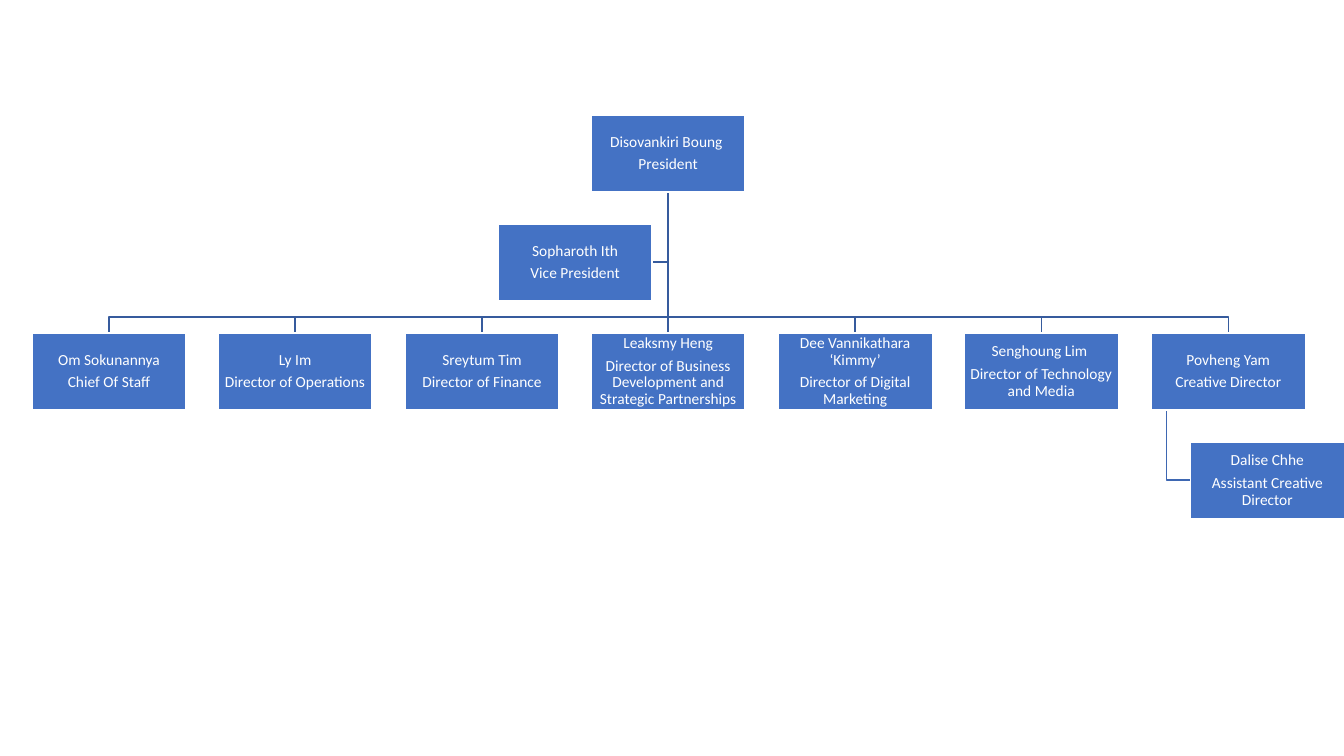
from dataclasses import dataclass

from lxml.etree import SubElement
from pptx import Presentation
from pptx.dml.color import RGBColor
from pptx.enum.shapes import MSO_CONNECTOR, MSO_SHAPE
from pptx.enum.text import MSO_ANCHOR, PP_ALIGN
from pptx.oxml.ns import qn
from pptx.util import Inches, Pt

PX = 914400 / 100.8
BOX_W, BOX_H = 154, 77
LEFT, TOP = 32, 115
ROW_STEP = 109
BLUE, WHITE = "4472C4", "FFFFFF"
TEAM_LINE, ASSISTANT_LINE = "365B9D", "3E67B2"


def px(n: float) -> int:
    return round(n * PX)


def color(value: str) -> RGBColor:
    return RGBColor.from_string(value)


def column(i: int) -> int:
    return LEFT + i * 373 // 2


@dataclass
class Person:
    name: str
    role: str
    x: int
    row: int

    @property
    def y(self) -> int:
        return TOP + self.row * ROW_STEP

    @property
    def cx(self) -> int:
        return self.x + BOX_W // 2

    @property
    def cy(self) -> int:
        return self.y + BOX_H // 2

    @property
    def bottom(self) -> int:
        return self.y + BOX_H


def add_box(s, person: Person) -> None:
    sp = s.shapes.add_shape(MSO_SHAPE.RECTANGLE, px(person.x), px(person.y),
                            px(BOX_W), px(BOX_H))
    sp.shadow.inherit = False
    sp.fill.solid()
    sp.fill.fore_color.rgb = color(BLUE)
    sp.line.color.rgb = color(WHITE)
    sp.line.width = Pt(1)
    tf = sp.text_frame
    tf.word_wrap = True
    tf.vertical_anchor = MSO_ANCHOR.MIDDLE
    tf.margin_left = tf.margin_right = tf.margin_top = tf.margin_bottom = px(1)
    for i, text in enumerate((person.name, person.role)):
        p = tf.add_paragraph() if i else tf.paragraphs[0]
        p.alignment = PP_ALIGN.CENTER
        p.line_spacing = 0.9
        p.space_after = Pt(4.2)
        r = p.add_run()
        r.text = text
        r.font.name = "Calibri"
        r.font.size = Pt(11)
        r.font.color.rgb = color(WHITE)


def add_link(s, points: list[tuple[int, int]], line: str) -> None:
    if len(points) == 2:
        (x1, y1), (x2, y2) = points
        sp = s.shapes.add_connector(MSO_CONNECTOR.STRAIGHT,
                                    px(x1), px(y1), px(x2), px(y2))
        SubElement(sp._element.spPr, qn("a:effectLst"))
    else:
        builder = s.shapes.build_freeform(*points[0], scale=PX)
        builder.add_line_segments(points[1:], close=False)
        sp = builder.convert_to_shape()
        sp.shadow.inherit = False
        sp.fill.background()
    sp.line.color.rgb = color(line)
    sp.line.width = Pt(1)


# People
president = Person("Disovankiri Boung ", "President", column(3), 0)
vice = Person("Sopharoth Ith", "Vice President", 498, 1)
directors = [Person(name, role, column(i), 2) for i, (name, role) in enumerate([
    ("Om Sokunannya", "Chief Of Staff"),
    ("Ly Im", "Director of Operations"),
    ("Sreytum Tim", "Director of Finance"),
    ("Leaksmy Heng", "Director of Business Development and Strategic Partnerships"),
    ("Dee Vannikathara ‘Kimmy’", "Director of Digital Marketing"),
    ("Senghoung Lim ", "Director of Technology and Media"),
    ("Povheng Yam", "Creative Director"),
])]
creative = directors[-1]
assistant = Person("Dalise Chhe", "Assistant Creative Director", 1190, 3)

prs = Presentation()
prs.slide_width, prs.slide_height = Inches(13.33), Inches(7.5)
s = prs.slides.add_slide(prs.slide_layouts[6])

# Links, behind the boxes
start = (president.cx, president.bottom)
add_link(s, [start, (president.cx, vice.cy), (vice.x + BOX_W, vice.cy)], TEAM_LINE)
stem = creative.x + 15
add_link(s, [(stem, creative.bottom), (stem, assistant.cy),
             (assistant.x, assistant.cy)], ASSISTANT_LINE)
for d in directors:
    rail = d.y - 16
    bend = [] if d.cx == president.cx else [(president.cx, rail), (d.cx, rail)]
    add_link(s, [start, *bend, (d.cx, d.y)], TEAM_LINE)

# Boxes
for person in [president, *directors, assistant, vice]:
    add_box(s, person)

prs.save("out.pptx")
